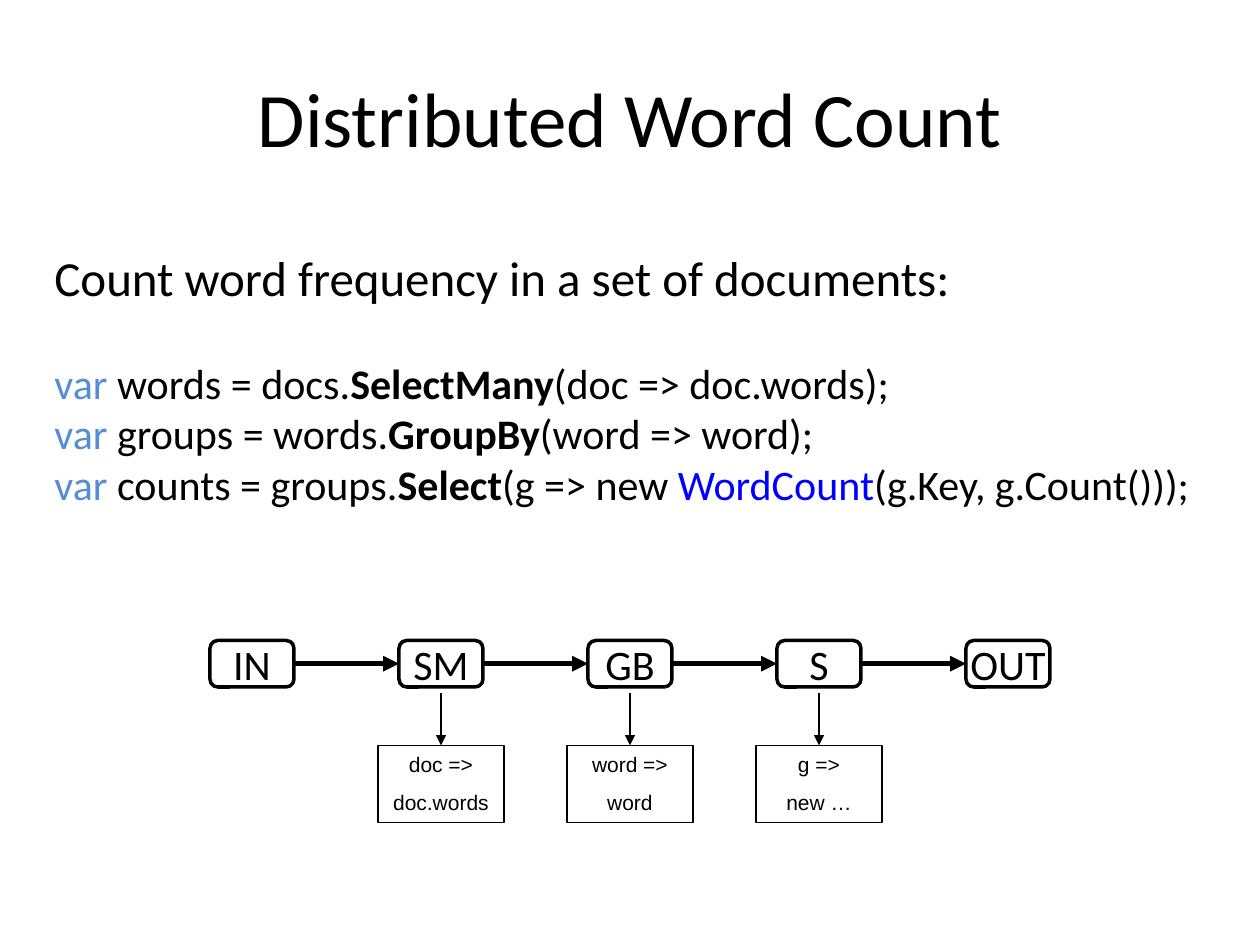
from dataclasses import dataclass
from typing import Optional

from lxml.etree import SubElement
from pptx import Presentation
from pptx.dml.color import RGBColor
from pptx.enum.shapes import MSO_CONNECTOR, MSO_SHAPE
from pptx.enum.text import MSO_ANCHOR, PP_ALIGN
from pptx.oxml.ns import qn
from pptx.util import Pt


@dataclass(frozen=True)
class Theme:
    black: RGBColor = RGBColor(0x00, 0x00, 0x00)
    white: RGBColor = RGBColor(0xFF, 0xFF, 0xFF)
    keyword: RGBColor = RGBColor(0x55, 0x8E, 0xD5)
    type_name: RGBColor = RGBColor(0x00, 0x00, 0xFF)
    main_font: str = "Calibri"
    note_font: str = "Arial"
    title_size: int = 44
    lead_size: int = 28
    code_size: int = 24
    note_size: int = 12


THEME = Theme()


@dataclass(frozen=True)
class Span:
    text: str
    color: RGBColor = THEME.black
    bold: bool = False


@dataclass(frozen=True)
class Stage:
    label: str
    note: Optional[tuple[str, str]] = None


# Content
VAR = Span("var ", THEME.keyword)
CODE = [
    [VAR, Span("words = docs."), Span("SelectMany", bold=True),
     Span("(doc => doc.words);")],
    [VAR, Span("groups = words."), Span("GroupBy", bold=True),
     Span("(word => word);")],
    [VAR, Span("counts = groups."), Span("Select", bold=True),
     Span("(g => new "), Span("WordCount", THEME.type_name),
     Span("(g.Key, g.Count()));")],
]
STAGES = [
    Stage("IN"),
    Stage("SM", ("doc =>", "doc.words")),
    Stage("GB", ("word =>", "word")),
    Stage("S", ("g =>", "new …")),
    Stage("OUT"),
]

# Pipeline grid, in points
FIRST_CENTER, PITCH = 144, 108
STAGE_TOP, STAGE_WIDTH, STAGE_HEIGHT = 366, 48, 26.6
NOTE_TOP, NOTE_WIDTH, NOTE_HEIGHT = 426, 72, 44
NOTE_ARROW_TOP = 396


def apply(target, values: dict) -> None:
    for name, value in values.items():
        setattr(target, name, value)


def write_spans(para, spans: list[Span], size: float,
                font: str = THEME.main_font) -> None:
    for span in spans:
        run = para.add_run()
        run.text = span.text
        apply(run.font, {"name": font, "size": Pt(size), "bold": span.bold})
        run.font.color.rgb = span.color


def add_box(page, kind, center: float, top: float, width: float,
            height: float, line_width: float):
    box = page.shapes.add_shape(kind, Pt(center - width / 2), Pt(top),
                                Pt(width), Pt(height))
    box.shadow.inherit = False
    box.line.color.rgb = THEME.black
    box.line.width = Pt(line_width)
    return box


def add_stage(page, stage: Stage, center: float):
    box = add_box(page, MSO_SHAPE.ROUNDED_RECTANGLE, center, STAGE_TOP,
                  STAGE_WIDTH, STAGE_HEIGHT, 2)
    box.fill.solid()
    box.fill.fore_color.rgb = THEME.white
    apply(box.text_frame, {"margin_left": 0, "margin_right": 0,
                           "word_wrap": False,
                           "vertical_anchor": MSO_ANCHOR.MIDDLE})
    para = box.text_frame.paragraphs[0]
    para.alignment = PP_ALIGN.CENTER
    write_spans(para, [Span(stage.label)], THEME.code_size)
    return box


def add_note(page, lines: tuple[str, str], center: float):
    box = add_box(page, MSO_SHAPE.RECTANGLE, center, NOTE_TOP,
                  NOTE_WIDTH, NOTE_HEIGHT, 0.75)
    box.fill.background()
    frame = box.text_frame
    apply(frame, {"word_wrap": True, "vertical_anchor": MSO_ANCHOR.TOP})
    for index, line in enumerate(lines):
        para = frame.add_paragraph() if index else frame.paragraphs[0]
        para.alignment = PP_ALIGN.CENTER
        if index:
            para.space_before = Pt(7)
        write_spans(para, [Span(line)], THEME.note_size, THEME.note_font)
    return box


def add_arrow(page, start: tuple[float, float], width: float):
    left, top = start
    arrow = page.shapes.add_connector(MSO_CONNECTOR.STRAIGHT, Pt(left),
                                      Pt(top), Pt(left), Pt(top))
    arrow.line.color.rgb = THEME.black
    arrow.line.width = Pt(width)
    SubElement(arrow.line._get_or_add_ln(), qn("a:tailEnd"), type="triangle")
    SubElement(arrow._element.spPr, qn("a:effectLst"))
    return arrow


def add_title(page, text: str) -> None:
    title = page.shapes.title
    apply(title, {"left": Pt(36), "top": Pt(21.6),
                  "width": Pt(648), "height": Pt(90)})
    title.text_frame.vertical_anchor = MSO_ANCHOR.MIDDLE
    para = title.text_frame.paragraphs[0]
    para.alignment = PP_ALIGN.CENTER
    write_spans(para, [Span(text)], THEME.title_size)


def add_code(page, lead: str, lines: list[list[Span]]) -> None:
    box = page.shapes.add_textbox(Pt(24), Pt(138), Pt(672), Pt(186.5))
    frame = box.text_frame
    frame.word_wrap = True
    write_spans(frame.paragraphs[0], [Span(lead)], THEME.lead_size)
    for index, spans in enumerate(lines):
        para = frame.add_paragraph()
        if index == 0:
            para.space_before = Pt(29)
        write_spans(para, spans, THEME.code_size)


def add_pipeline(page, stages: list[Stage]) -> None:
    previous = None
    for index, stage in enumerate(stages):
        center = FIRST_CENTER + index * PITCH
        box = add_stage(page, stage, center)
        # Flow from the stage before
        if previous is not None:
            flow = add_arrow(page, (center, STAGE_TOP), 3)
            flow.begin_connect(previous, 3)
            flow.end_connect(box, 1)
        # Function the stage applies
        if stage.note:
            note = add_note(page, stage.note, center)
            add_arrow(page, (center, NOTE_ARROW_TOP), 0.75).end_connect(note, 0)
        previous = box


def main() -> None:
    deck = Presentation()
    apply(deck, {"slide_width": Pt(720), "slide_height": Pt(540)})
    page = deck.slides.add_slide(deck.slide_layouts[5])
    add_title(page, "Distributed Word Count")
    add_code(page, "Count word frequency in a set of documents:", CODE)
    add_pipeline(page, STAGES)
    deck.save("out.pptx")


if __name__ == "__main__":
    main()
